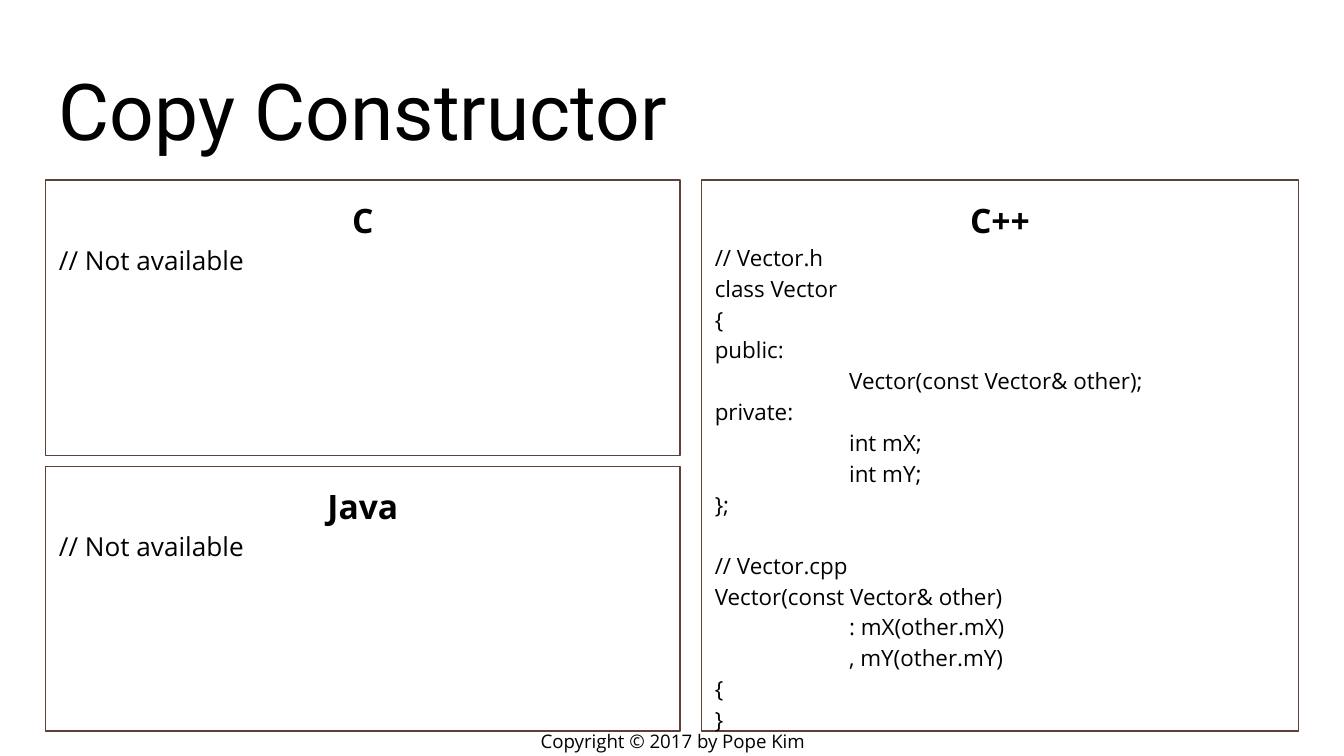
from copy import deepcopy

from lxml.etree import SubElement
from pptx import Presentation
from pptx.dml.color import RGBColor
from pptx.enum.shapes import MSO_SHAPE
from pptx.enum.text import MSO_ANCHOR, PP_ALIGN
from pptx.oxml.ns import qn
from pptx.util import Inches, Pt

# Grid in inches, on a 16:9 slide
SLIDE_W = 10
SLIDE_H = SLIDE_W * 9 / 16
MARGIN = 0.34
CONTENT_W = SLIDE_W - 2 * MARGIN
LEFT_W, COLUMN_GAP = 4.72, 0.16
RIGHT_X = MARGIN + LEFT_W + COLUMN_GAP
RIGHT_W = SLIDE_W - MARGIN - RIGHT_X
TOP, BOTTOM = 1.34, 5.44
C_H, ROW_GAP = 2.05, 0.08
JAVA_Y = TOP + C_H + ROW_GAP
CODE_INDENT = 1

INK, FRAME = "000000", "5D4037"
BODY_FONT, TITLE_FONT = "Open Sans", "Roboto"

NOT_AVAILABLE = "// Not available"
VECTOR_H = """// Vector.h
class Vector
{
public:
\tVector(const Vector& other);
private:
\tint mX;
\tint mY;
};"""
VECTOR_CPP = """// Vector.cpp
Vector(const Vector& other)
\t: mX(other.mX)
\t, mY(other.mY)
{
}"""


def color(hex_value):
    return RGBColor.from_string(hex_value)


def set_tab(paragraph, position):
    tabs = SubElement(paragraph._p.get_or_add_pPr(), qn("a:tabLst"))
    SubElement(tabs, qn("a:tab"), pos=str(Inches(position)), algn="l")


def write(paragraph, text, size, font=BODY_FONT, bold=False,
          align=PP_ALIGN.LEFT, line_spacing=None, after=0):
    """Fill a paragraph; newlines become line breaks of the same size."""
    paragraph.text = text
    if "\t" in text:
        set_tab(paragraph, CODE_INDENT)
    paragraph.alignment = align
    paragraph.space_after = Pt(after)
    if line_spacing:
        paragraph.line_spacing = line_spacing
    for run in paragraph.runs:
        run.font.name = font
        run.font.size = Pt(size)
        run.font.bold = bold
        run.font.color.rgb = color(INK)
    run_format = paragraph.runs[0]._r.rPr
    for line_break in paragraph._p.findall(qn("a:br")):
        line_break.append(deepcopy(run_format))


def prepare_frame(shape, anchor):
    frame = shape.text_frame
    frame.word_wrap = True
    frame.vertical_anchor = anchor
    frame.margin_left = frame.margin_right = Inches(0.1)
    frame.margin_top = frame.margin_bottom = Inches(0.1)
    return frame


def add_label(slide, box, text, anchor, **text_format):
    label = slide.shapes.add_textbox(*map(Inches, box))
    frame = prepare_frame(label, anchor)
    write(frame.paragraphs[0], text, **text_format)


def add_language_panel(slide, box, language, code_blocks, code_size):
    panel = slide.shapes.add_shape(MSO_SHAPE.RECTANGLE, *map(Inches, box))
    panel.shadow.inherit = False
    panel.fill.background()
    panel.line.color.rgb = color(FRAME)
    panel.line.width = Pt(0.75)

    frame = prepare_frame(panel, MSO_ANCHOR.TOP)
    write(frame.paragraphs[0], language, size=18, bold=True,
          align=PP_ALIGN.CENTER, line_spacing=1.15)
    for code in code_blocks:
        write(frame.add_paragraph(), code, size=code_size,
              line_spacing=1.15, after=16)


def main():
    presentation = Presentation()
    presentation.slide_width = Inches(SLIDE_W)
    presentation.slide_height = Inches(SLIDE_H)
    slide = presentation.slides.add_slide(presentation.slide_layouts[6])

    # Copyright line and title
    add_label(slide, (3.77, 5.41, 2.47, 0.21), "Copyright © 2017 by Pope Kim",
              MSO_ANCHOR.MIDDLE, size=10, align=PP_ALIGN.CENTER)
    add_label(slide, (MARGIN, 0.35, CONTENT_W, 0.91), "Copy Constructor",
              MSO_ANCHOR.BOTTOM, size=42, font=TITLE_FONT)

    # One panel per language
    add_language_panel(slide, (MARGIN, TOP, LEFT_W, C_H),
                       "C", [NOT_AVAILABLE], 14)
    add_language_panel(slide, (RIGHT_X, TOP, RIGHT_W, BOTTOM - TOP),
                       "C++", [VECTOR_H, VECTOR_CPP], 12)
    add_language_panel(slide, (MARGIN, JAVA_Y, LEFT_W, BOTTOM - JAVA_Y),
                       "Java", [NOT_AVAILABLE], 14)

    presentation.save("out.pptx")


if __name__ == "__main__":
    main()
